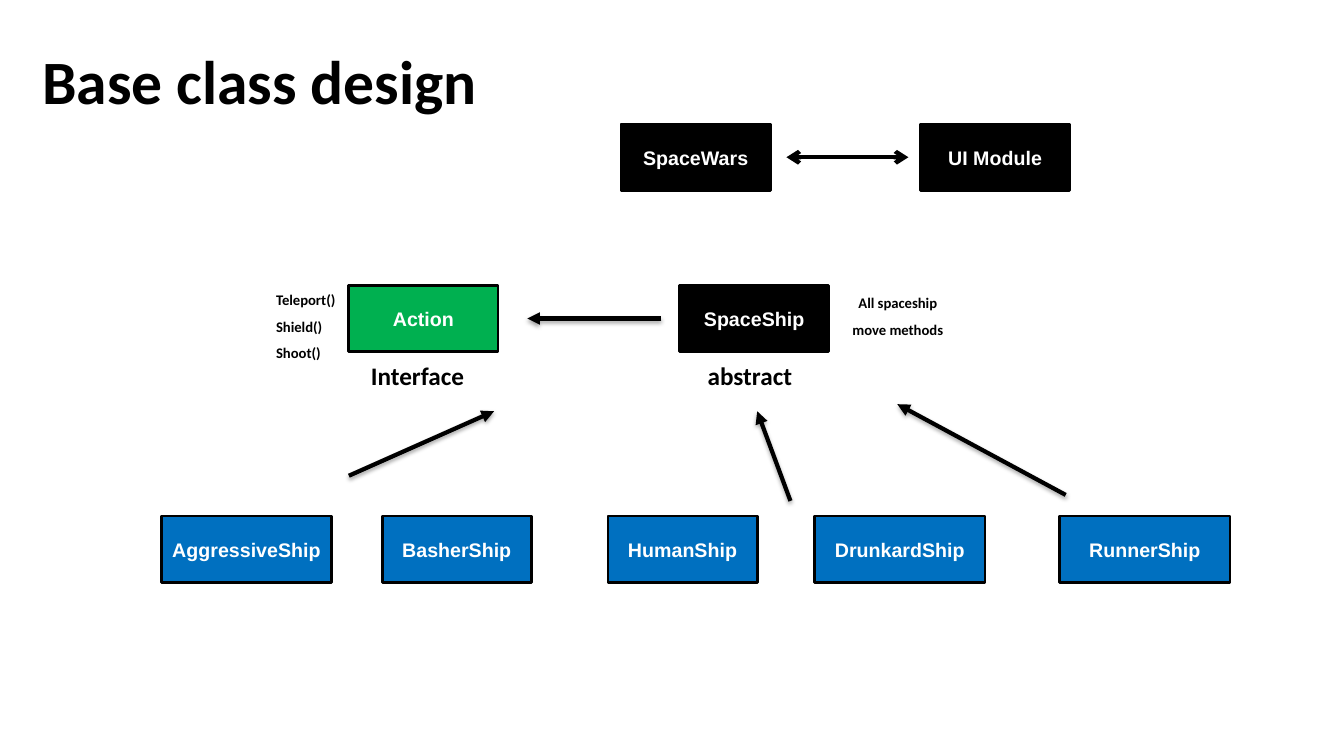
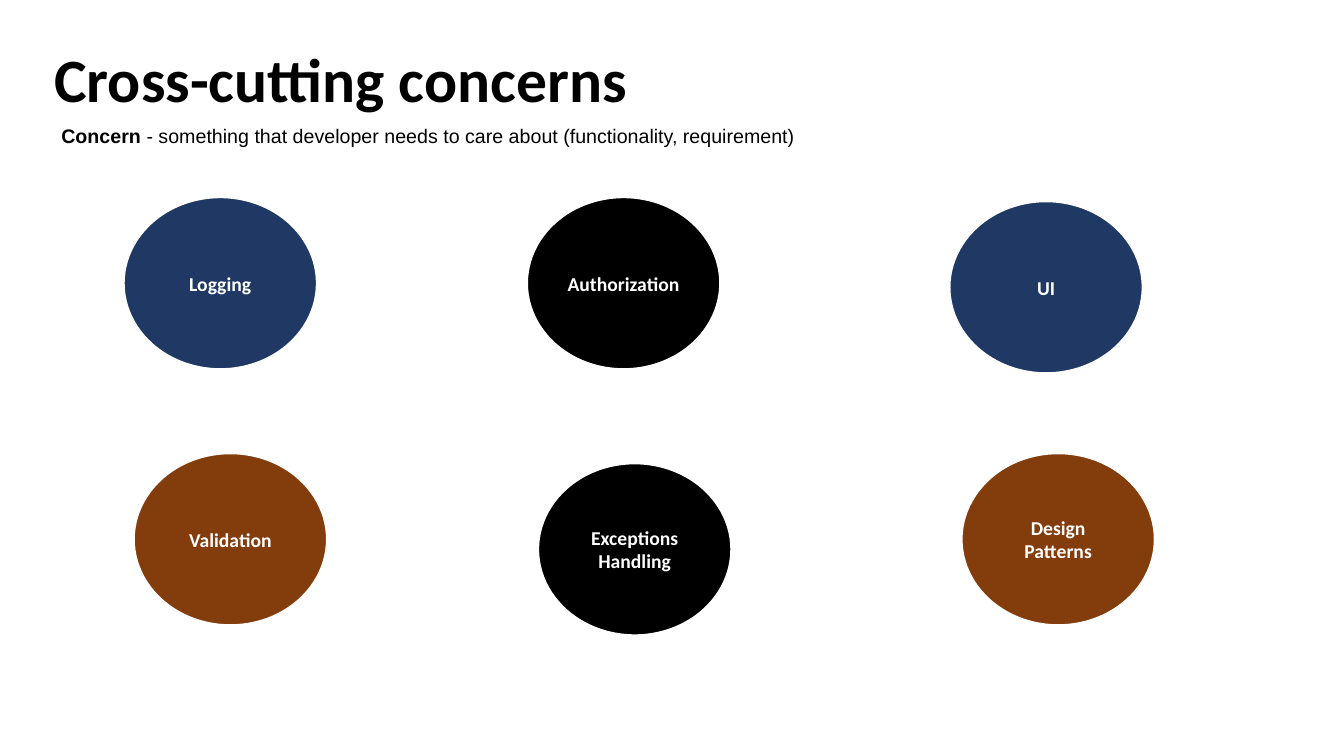
from lxml import etree
from pptx import Presentation
from pptx import util as u
from pptx.dml import color
from pptx.enum import shapes, text
from pptx.oxml import ns

# Shared look
BLACK, WHITE = "000000", "FFFFFF"
BLUE, GREEN = "0070C0", "00B050"
NAVY, BROWN = "1F3864", "833C0B"
HEAD, BODY = "Calibri", "Arial"
LEFT, MID = text.PP_ALIGN.LEFT, text.PP_ALIGN.CENTER
BOX_H = 0.66
RECT, OVAL = shapes.MSO_SHAPE.RECTANGLE, shapes.MSO_SHAPE.OVAL


def rgb(code):
    return color.RGBColor.from_string(code)


def node(parent, tag, **attrs):
    return etree.SubElement(parent, ns.qn(tag), attrs)


def write(frame, paras, size, font=HEAD, ink=BLACK, align=LEFT,
          space=1.0, pad=0.1, anchor=text.MSO_ANCHOR.TOP):
    """Fill a frame; each paragraph is a list of (text, bold) runs."""
    frame.word_wrap = True
    frame.vertical_anchor = anchor
    frame.margin_left = frame.margin_right = u.Inches(pad)
    for i, runs in enumerate(paras):
        para = frame.paragraphs[0] if i == 0 else frame.add_paragraph()
        para.alignment = align
        para.line_spacing = space
        for words, bold in runs:
            run = para.add_run()
            run.text = words
            run.font.name = font
            run.font.size = u.Pt(size)
            run.font.bold = bold
            run.font.color.rgb = rgb(ink)


def label(slide, at, paras, size, **style):
    area = slide.shapes.add_textbox(*map(u.Inches, at))
    write(area.text_frame, paras, size, **style)


def title(slide, x, y, words):
    label(slide, (x, y, 11.5, 1.45), [[(words, True)]], 44,
          space=0.9, anchor=text.MSO_ANCHOR.MIDDLE)


def solid(slide, kind, at, words, fill, edge, width, font, pad):
    item = slide.shapes.add_shape(kind, *map(u.Inches, at))
    item.shadow.inherit = False
    item.fill.solid()
    item.fill.fore_color.rgb = rgb(fill)
    item.line.color.rgb = rgb(edge)
    item.line.width = u.Pt(width)
    write(item.text_frame, [[(words, True)]], 14, font=font, ink=WHITE,
          align=MID, pad=pad, anchor=text.MSO_ANCHOR.MIDDLE)


def box(slide, x, y, words, fill, width=1.48):
    solid(slide, RECT, (x, y, width, BOX_H), words, fill, BLACK, 2, BODY, 0.05)


def disc(slide, x, y, words, fill):
    solid(slide, OVAL, (x, y, 1.91, 1.7), words, fill, WHITE, 1, HEAD, 0.1)


def arrow(slide, start, end, both=False):
    """A plain two-way arrow, or a one-way arrow with a soft shadow."""
    link = slide.shapes.add_connector(
        shapes.MSO_CONNECTOR.STRAIGHT, *map(u.Inches, start + end))
    link.line.color.rgb = rgb(BLACK)
    link.line.width = u.Pt(3)
    stroke = link.line._get_or_add_ln()
    tip = "arrow" if both else "triangle"
    if both:
        node(stroke, "a:headEnd", type=tip)
    node(stroke, "a:tailEnd", type=tip)
    effect = node(link._element.spPr, "a:effectLst")
    if not both:
        shade = node(effect, "a:outerShdw", blurRad=str(u.Pt(3.1)),
                     dist=str(u.Pt(1.8)), dir="5400000", rotWithShape="0")
        node(node(shade, "a:srgbClr", val=BLACK), "a:alpha", val="35000")


def design(slide):
    title(slide, 0.32, 0.11, "Base class design")

    # Modules and base types
    for x, y, words, fill in [
            (6.16, 1.23, "SpaceWars", BLACK), (9.13, 1.23, "UI Module", BLACK),
            (3.46, 2.83, "Action", GREEN), (6.74, 2.83, "SpaceShip", BLACK)]:
        box(slide, x, y, words, fill)

    # Ship classes
    for x, width, words in [
            (1.6, 1.69, "AggressiveShip"), (3.79, 1.48, "BasherShip"),
            (6.03, 1.48, "HumanShip"), (8.08, 1.69, "DrunkardShip"),
            (10.51, 1.69, "RunnerShip")]:
        box(slide, x, 5.12, words, BLUE, width)

    # Captions and method lists
    for x, width, words in [(3.58, 1.24, "Interface"), (6.92, 1.12, "abstract")]:
        label(slide, (x, 3.38, width, 0.56), [[(words, True)]], 18, space=1.5)
    calls = [[(name, True)] for name in ("Teleport()", "Shield()", "Shoot()")]
    label(slide, (2.64, 2.75, 0.94, 0.87), calls, 10.5, space=1.5)
    label(slide, (8.27, 2.78, 1.27, 0.87),
          [[("All spaceship move methods", True)]], 10.5, space=1.5, align=MID)

    # Arrows
    arrow(slide, (9.01, 1.56), (7.8, 1.56), both=True)
    for start, end in [((6.56, 3.16), (5.23, 3.16)), ((10.57, 4.91), (8.9, 4.01)),
                       ((7.84, 4.97), (7.51, 4.08)), ((3.46, 4.72), (4.9, 4.08))]:
        arrow(slide, start, end)


def concerns(slide):
    title(slide, 0.44, 0.09, "Cross-cutting concerns")
    label(slide, (0.51, 1.18, 7.68, 0.34), [[
        ("Concern", True),
        (" - something that developer needs to care about "
         "(functionality, requirement)", False)]], 14, font=BODY)

    # Concerns
    for x, y, words, fill in [
            (1.23, 1.96, "Logging", NAVY), (5.23, 1.96, "Authorization", BLACK),
            (9.42, 2, "UI", NAVY), (1.33, 4.5, "Validation", BROWN),
            (5.34, 4.6, "Exceptions Handling", BLACK),
            (9.54, 4.5, "Design Patterns", BROWN)]:
        disc(slide, x, y, words, fill)


def main():
    deck = Presentation()
    deck.slide_width, deck.slide_height = u.Inches(13.33), u.Inches(7.5)
    for build in (design, concerns):
        build(deck.slides.add_slide(deck.slide_layouts[6]))
    deck.save("out.pptx")


if __name__ == "__main__":
    main()
